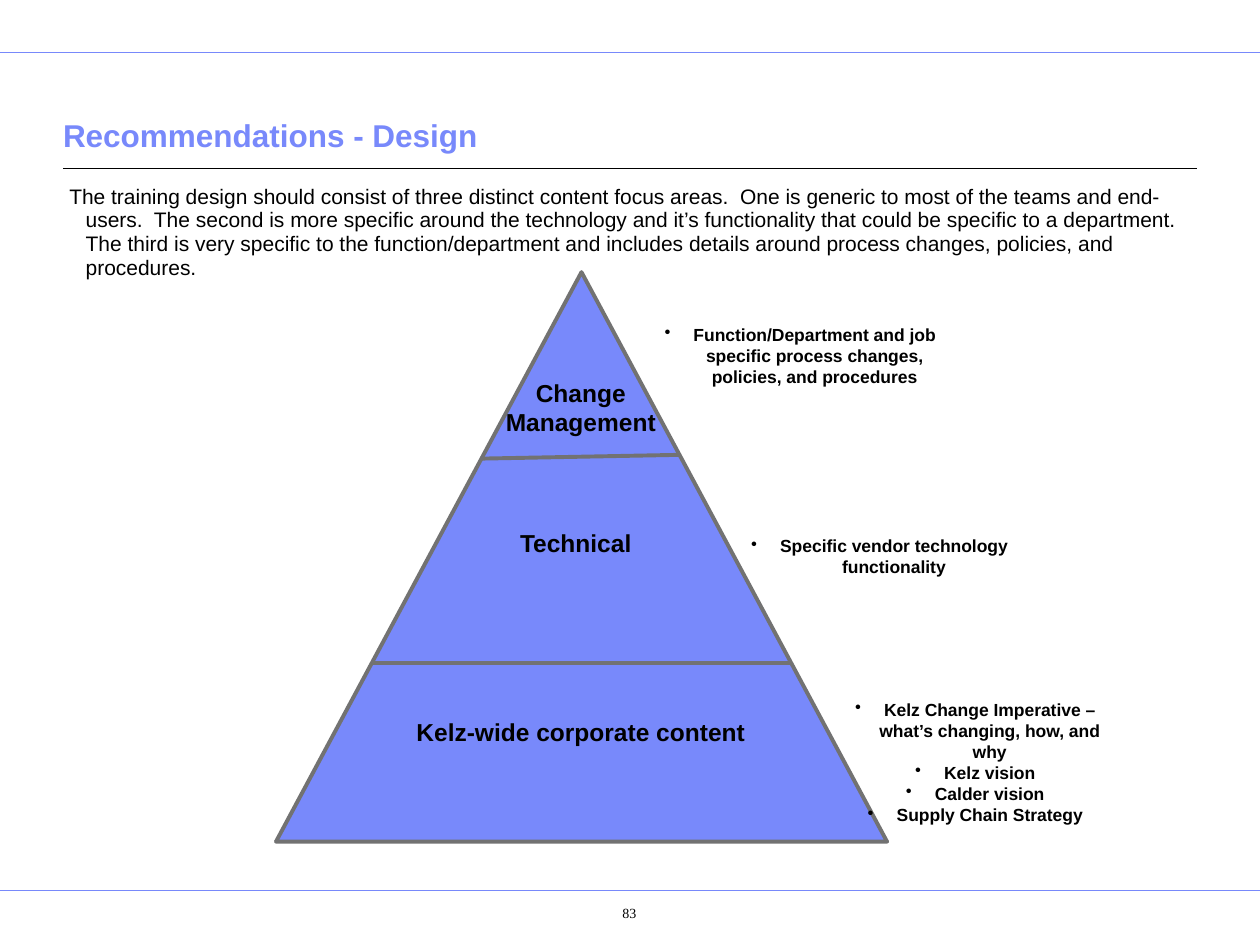
"""Build the training design recommendations slide with its three-level pyramid."""
import dataclasses

import lxml.etree
import pptx
import pptx.dml.color
import pptx.enum.shapes
import pptx.enum.text
import pptx.oxml.ns
import pptx.util

RGBColor = pptx.dml.color.RGBColor
ALIGN = pptx.enum.text.PP_ALIGN
ANCHOR = pptx.enum.text.MSO_ANCHOR
qn = pptx.oxml.ns.qn

BLUE = RGBColor(0x78, 0x89, 0xFB)
GREY = RGBColor(0x72, 0x72, 0x72)
BLACK = RGBColor(0, 0, 0)

COLS, ROWS = 100, 75
CELL = pptx.util.Inches(0.1)
MARGIN = 5


@dataclasses.dataclass(frozen=True)
class Box:
    left: float
    top: float
    width: float
    height: float

    def emu(self) -> list[int]:
        return [round(v * CELL) for v in dataclasses.astuple(self)]


@dataclasses.dataclass(frozen=True)
class Level:
    label: str
    label_box: Box
    bullets: tuple[str, ...]
    bullet_box: Box
    wrap: bool = True


PYRAMID = Box(21.9, 21.6, 48.5, 45.2)
DIVIDERS = ((52.6, 52.6), (36.4, 36.1))
LEVELS = (
    Level("Kelz-wide corporate content", Box(32, 56.4, 28.2, 3.4),
          ("Kelz Change Imperative – what’s changing, how, and why",
           "Kelz vision", "Calder vision", "Supply Chain Strategy"),
          Box(65.6, 55, 23.6, 9.4), wrap=False),
    Level("Technical", Box(33.5, 41.4, 24.4, 3.4),
          ("Specific vendor technology functionality",),
          Box(58, 42, 23.6, 4.4)),
    Level("Change Management", Box(36.9, 29.5, 18.4, 5.7),
          ("Function/Department and job specific process changes, "
           "policies, and procedures",),
          Box(51.7, 25.2, 23.6, 6)),
)
INTRO = (
    "The training design should consist of three distinct content focus areas.  "
    "One is generic to most of the teams and end-users.  The second is more specific "
    "around the technology and it’s functionality that could be specific to a "
    "department.  The third is very specific to the function/department and includes "
    "details around process changes, policies, and procedures."
)


def put_text(sp, *lines: str, size: float, color=BLACK, font="Arial", bold=False,
             align=ALIGN.CENTER, anchor=ANCHOR.TOP, wrap=True, bullet=False,
             insets=(1, 0.5, 1, 0.5), margin=0.0, indent=0.0, spacing=None) -> None:
    tf = sp.text_frame
    tf.auto_size = pptx.enum.text.MSO_AUTO_SIZE.NONE
    tf.word_wrap, tf.vertical_anchor = wrap, anchor
    tf.margin_left, tf.margin_top, tf.margin_right, tf.margin_bottom = (
        round(v * CELL) for v in insets)
    for i, line in enumerate(lines):
        p = tf.paragraphs[0] if i == 0 else tf.add_paragraph()
        p.alignment = align
        if spacing:
            p.line_spacing = spacing
        pPr = p._p.get_or_add_pPr()
        pPr.set("marL", str(round(margin * CELL)))
        pPr.set("indent", str(round(indent * CELL)))
        if bullet:
            lxml.etree.SubElement(pPr, qn("a:buChar")).set("char", "•")
        r = p.add_run()
        r.text = line
        r.font.name, r.font.size, r.font.bold = font, pptx.util.Pt(size), bold
        r.font.color.rgb = color


def add_text(s, box: Box, *lines: str, **fmt) -> None:
    put_text(s.shapes.add_textbox(*box.emu()), *lines, **fmt)


def add_line(s, x1: float, y1: float, x2: float, y2: float,
             color: RGBColor, width: float) -> None:
    sp = s.shapes.add_connector(pptx.enum.shapes.MSO_CONNECTOR.STRAIGHT,
                                *(round(v * CELL) for v in (x1, y1, x2, y2)))
    sp.line.color.rgb, sp.line.width = color, pptx.util.Pt(width)
    lxml.etree.SubElement(sp._element.spPr, qn("a:effectLst"))


def edge(row: float, side: int) -> float:
    half = PYRAMID.width / 2
    return PYRAMID.left + half + side * half * (row - PYRAMID.top) / PYRAMID.height


def add_pyramid(s) -> None:
    sp = s.shapes.add_shape(pptx.enum.shapes.MSO_SHAPE.ISOSCELES_TRIANGLE,
                            *PYRAMID.emu())
    sp.shadow.inherit = False
    sp.fill.solid()
    sp.fill.fore_color.rgb = BLUE
    sp.line.color.rgb, sp.line.width = GREY, pptx.util.Pt(2.25)
    for left_row, right_row in DIVIDERS:
        add_line(s, edge(left_row, -1), left_row, edge(right_row, 1), right_row,
                 GREY, 2.25)
    for level in LEVELS:
        add_text(s, level.label_box, level.label, size=14, bold=True, wrap=level.wrap)
        add_text(s, level.bullet_box, *level.bullets, size=10, bold=True,
                 bullet=True, margin=2.3, indent=-2.3)


def main() -> None:
    prs = pptx.Presentation()
    prs.slide_width, prs.slide_height = COLS * CELL, ROWS * CELL
    s = prs.slides.add_slide(prs.slide_layouts[5])
    content = COLS - 2 * MARGIN
    for row in (4.2, 70.7):
        add_line(s, 0, row, COLS, row, BLUE, 0.5)
    add_line(s, MARGIN, 13.4, COLS - MARGIN, 13.4, BLACK, 0.75)

    title = s.shapes.title
    title.left, title.top, title.width, title.height = Box(
        MARGIN, 6.4, content, 6.3).emu()
    put_text(title, "Recommendations - Design", size=18, color=BLUE, bold=True,
             align=ALIGN.LEFT, anchor=ANCHOR.BOTTOM, insets=(0, 0.5, 0, 0.5))
    add_pyramid(s)
    add_text(s, Box(MARGIN, 14.2, content, 9.2), INTRO, size=12, align=ALIGN.LEFT,
             insets=(0.5,) * 4, margin=1.3, indent=-1.3, spacing=0.94)
    add_text(s, Box(42.7, 71.1, 11.5, 3.5), "83", size=8, font="Times New Roman",
             insets=(1.6, 0.7, 1, 0.5), margin=2.4)
    prs.save("out.pptx")


if __name__ == "__main__":
    main()
